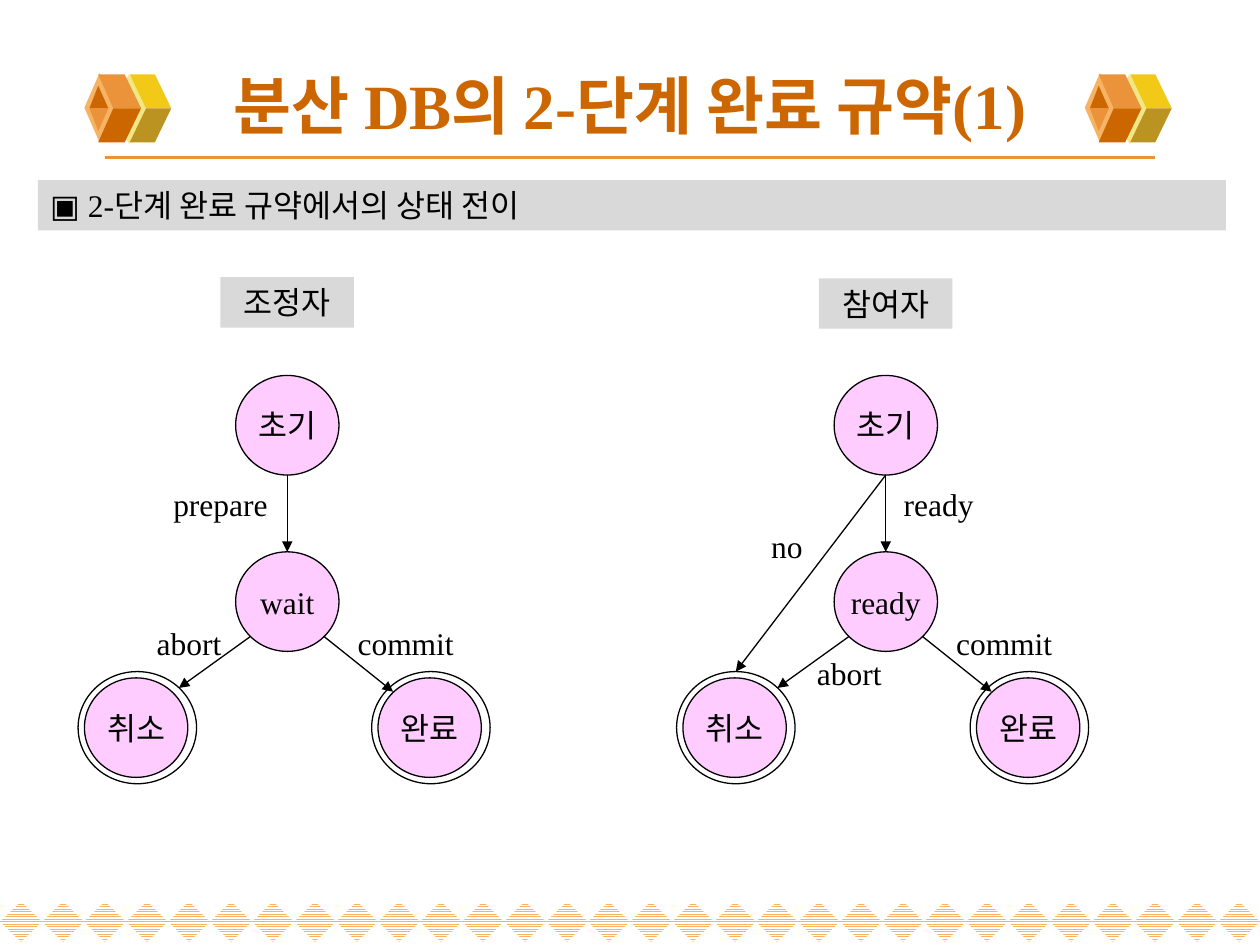
from typing import NamedTuple

from lxml import etree
from pptx import Presentation
from pptx import util as u
from pptx.dml.color import RGBColor
from pptx.enum import dml, shapes, text
from pptx.oxml.ns import qn

HUES = {
    "ink": "000000", "paper": "FFFFFF", "grey": "D9D9D9", "pink": "FFCCFF",
    "rust": "CC6600", "orange": "EB933B", "peach": "F5B363",
    "cream": "F1E785", "gold": "F3C917", "olive": "BB9321",
}
LATIN, HANGUL = "Times New Roman", "Noto Sans CJK KR"
KIND = shapes.MSO_SHAPE
MID, TOP = text.MSO_ANCHOR.MIDDLE, text.MSO_ANCHOR.TOP
LEFT, CENTER = text.PP_ALIGN.LEFT, text.PP_ALIGN.CENTER


class Box(NamedTuple):
    x: float
    y: float
    w: float
    h: float


class State(NamedTuple):
    name: str
    x: float
    y: float
    final: bool = False


class Arrow(NamedTuple):
    x1: float
    y1: float
    x2: float
    y2: float


class Label(NamedTuple):
    name: str
    x: float
    y: float
    w: float = 1.06


class Machine(NamedTuple):
    dx: float
    head: Label
    wait: str
    arrows: list[Arrow]
    labels: list[Label]


def hue(name: str) -> RGBColor:
    return RGBColor.from_string(HUES[name])


def write(shape, words: str, size: int = 18, color: str = "ink", bold: bool = False,
          align=CENTER, anchor=TOP, inset: bool = True) -> None:
    frame = shape.text_frame
    frame.text = words
    frame.word_wrap = True
    frame.vertical_anchor = anchor
    if not inset:
        frame.margin_left = frame.margin_right = 0
        frame.margin_top = frame.margin_bottom = 0
    para = frame.paragraphs[0]
    para.alignment = align
    run = para.runs[0]
    font = run.font
    font.size, font.bold, font.name = u.Pt(size), bold, LATIN
    font.color.rgb = hue(color)
    etree.SubElement(run._r.get_or_add_rPr(), qn("a:ea")).set("typeface", HANGUL)


def draw(slide, kind, box: Box, fill: str | None = None, edge: str | None = None):
    shape = slide.shapes.add_shape(kind, *map(u.Inches, box))
    shape.shadow.inherit = False
    paint(shape, fill, edge)
    return shape


def paint(shape, fill: str | None, edge: str | None = None) -> None:
    if fill:
        shape.fill.solid()
        shape.fill.fore_color.rgb = hue(fill)
    else:
        shape.fill.background()
    if edge:
        shape.line.color.rgb = hue(edge)
        shape.line.width = u.Pt(0.75)
    else:
        shape.line.fill.background()


def note(slide, box: Box, words: str, **style) -> None:
    write(slide.shapes.add_textbox(*map(u.Inches, box)), words, **style)


def link(slide, arrow: Arrow, color: str = "ink", width: float = 0.75,
         head: bool = True) -> None:
    line = slide.shapes.add_connector(shapes.MSO_CONNECTOR.STRAIGHT, *map(u.Inches, arrow))
    line.line.color.rgb = hue(color)
    line.line.width = u.Pt(width)
    if head:
        etree.SubElement(line.line._get_or_add_ln(), qn("a:tailEnd")).set("type", "triangle")
    etree.SubElement(line._element.spPr, qn("a:effectLst"))


def facet(slide, dx: float, points: list[tuple[float, float]], fill: str) -> None:
    spots = [(u.Inches(x + dx), u.Inches(y)) for x, y in points]
    path = slide.shapes.build_freeform(*spots[0])
    path.add_line_segments(spots[1:], close=True)
    shape = path.convert_to_shape()
    shape.shadow.inherit = False
    paint(shape, fill)


def cube(slide, dx: float) -> None:
    """Draw a two-part block, each half mirrored about its middle line."""
    mid, rise = 0.86, 0.27

    def pair(left: float, inner: float, right: float, tip: float, up: str, down: str) -> None:
        for side, fill in ((-rise, up), (rise, down)):
            facet(slide, dx, [(inner, mid), (right, mid), (tip, mid + side),
                              (left, mid + side)], fill)

    draw(slide, KIND.DIAMOND, Box(0.86 + dx, 0.59, 0.33, 0.55), "cream")
    pair(1.03, 1.16, 1.36, 1.23, "gold", "olive")
    draw(slide, KIND.DIAMOND, Box(0.67 + dx, 0.58, 0.24, 0.55), "peach")
    pair(0.78, 0.9, 1.12, 0.99, "orange", "rust")
    for side, fill in ((-0.18, "rust"), (0.18, "orange")):
        facet(slide, dx, [(0.78, mid + side), (0.71, mid), (0.86, mid)], fill)


def border(slide, count: int = 30) -> None:
    step = 10 / count
    for i in range(count):
        gem = draw(slide, KIND.DIAMOND, Box(i * step, 7.155, step, 0.32))
        gem.fill.patterned()
        gem.fill.pattern = dml.MSO_PATTERN.NARROW_HORIZONTAL
        gem.fill.fore_color.rgb = hue("peach")
        gem.fill.back_color.rgb = hue("paper")


def node(slide, state: State, dx: float) -> None:
    x = state.x + dx
    disc = draw(slide, KIND.OVAL, Box(x, state.y, 0.82, 0.79), "pink", "ink")
    write(disc, state.name, anchor=MID, inset=False)
    if state.final:
        draw(slide, KIND.OVAL, Box(x - 0.05, state.y - 0.05, 0.94, 0.89), None, "ink")


def chart(slide, unit: Machine) -> None:
    states = [State("초기", 1.87, 2.98), State(unit.wait, 1.87, 4.38),
              State("완료", 3, 5.38, True), State("취소", 0.67, 5.38, True)]
    for state in states:
        node(slide, state, unit.dx)
    for arrow in STEPS + unit.arrows:
        link(slide, Arrow(arrow.x1 + unit.dx, arrow.y1, arrow.x2 + unit.dx, arrow.y2))
    for label in unit.labels + [Label("commit", 2.69, 4.9)]:
        note(slide, Box(label.x + unit.dx, label.y, label.w, 0.4), label.name)
    head = unit.head
    tag = draw(slide, KIND.RECTANGLE, Box(head.x + unit.dx, head.y, head.w, 0.4), "grey")
    write(tag, head.name)


# Transitions shared by both machines
STEPS = [Arrow(2.28, 3.77, 2.28, 4.38), Arrow(1.99, 5.05, 1.42, 5.46),
         Arrow(2.57, 5.05, 3.12, 5.49)]
UNITS = [
    Machine(0, Label("조정자", 1.75, 2.2), "wait", [],
            [Label("prepare", 1.22, 3.8), Label("abort", 0.97, 4.9)]),
    Machine(4.75, Label("참여자", 1.75, 2.21), "ready", [Arrow(2.28, 3.77, 1.09, 5.33)],
            [Label("ready", 2.17, 3.8), Label("abort", 1.62, 5.14, 0.74),
             Label("no", 1.22, 4.13, 0.55)]),
]


def main() -> None:
    deck = Presentation()
    deck.slide_width, deck.slide_height = u.Inches(10), u.Inches(7.5)
    slide = deck.slides.add_slide(deck.slide_layouts[6])

    # Decoration
    border(slide)
    link(slide, Arrow(0.83, 1.25, 9.17, 1.25), "orange", 2.25, head=False)
    for dx in (0, 7.94):
        cube(slide, dx)

    # Title and topic bar
    note(slide, Box(0.5, 0.45, 9, 0.76), "분산 DB의 2-단계 완료 규약(1)",
         size=36, color="rust", bold=True, anchor=MID)
    bar = draw(slide, KIND.RECTANGLE, Box(0.3, 1.43, 9.43, 0.4), "grey")
    write(bar, "▣ 2-단계 완료 규약에서의 상태 전이", align=LEFT)

    # State machines
    for unit in UNITS:
        chart(slide, unit)

    deck.save("out.pptx")


if __name__ == "__main__":
    main()
